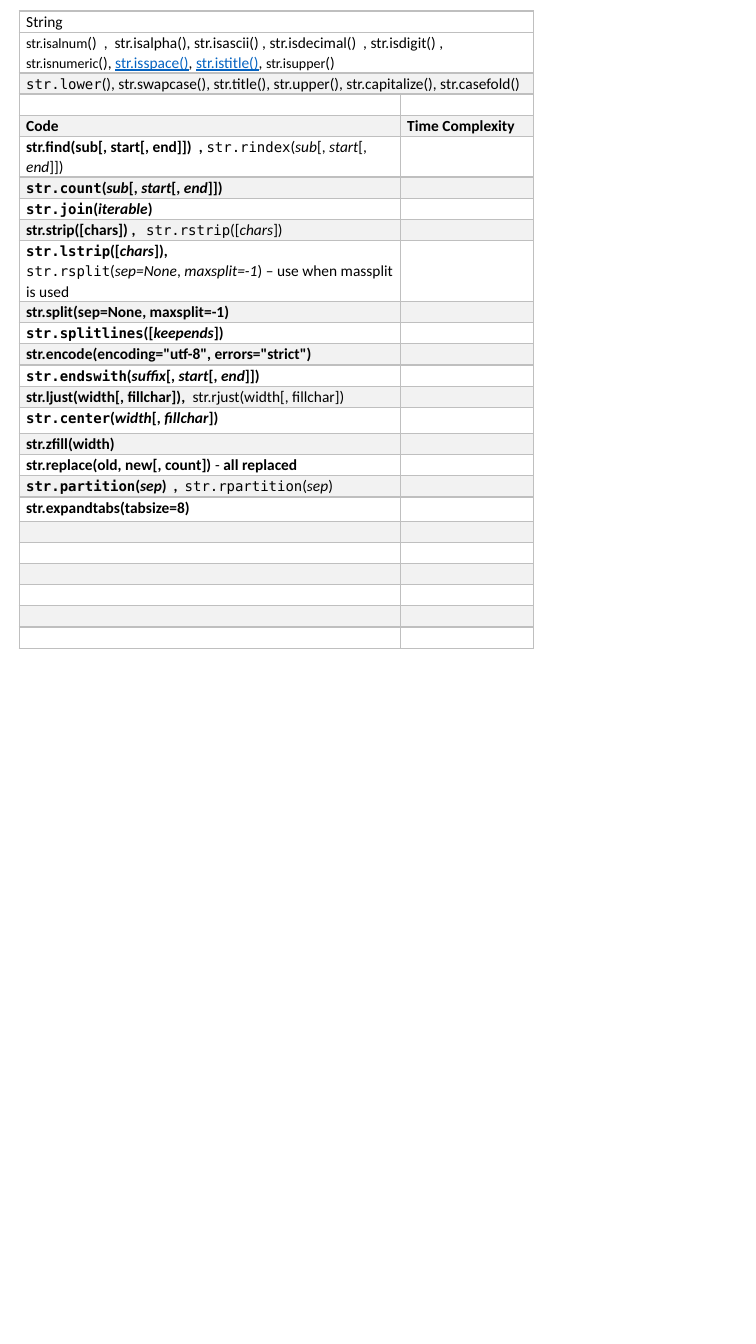
from lxml.etree import SubElement as Sub
from pptx import Presentation
from pptx.dml.color import RGBColor as RGB
from pptx.oxml.ns import qn
from pptx.util import Inches, Pt

BLACK = RGB(0x00, 0x00, 0x00)
WHITE = RGB(0xFF, 0xFF, 0xFF)
BAND = RGB(0xF2, 0xF2, 0xF2)
RULE = RGB(0xBF, 0xBF, 0xBF)
LINK = RGB(0x05, 0x63, 0xC1)

# Style letters: b bold, i italic, m code font, s small, u link colour
SPAN = [("sub", "bi"), ("[, ", "b"), ("start", "bi"), ("[, ", "b"), ("end", "bi"), ("]])", "b")]
WIDE = [
    [("String", "")],
    [("str.isalnum", "s"), ("()  ,  str.isalpha(), str.isascii() , str.isdecimal()  , str.isdigit() , ", ""),
     ("str.isnumeric", "s"), ("(), ", ""), ("str.isspace()", "u"), (", ", ""),
     ("str.istitle()", "u"), (", ", ""), ("str.isupper", "s"), ("()", "")],
    [("str.lower", "m"),
     ("(), str.swapcase(), str.title(), str.upper(), str.capitalize(), str.casefold()", "")],
]
HEAD = ["Code", "Time Complexity"]
CODE = [
    [[("str.find(sub[, start[, end]])  , ", "b"), ("str.rindex", "m"), ("(", ""), ("sub", "i"),
      ("[, ", ""), ("start", "i"), ("[, ", ""), ("end", "i"), ("]])", "")]],
    [[("str.count", "bm"), ("(", "b"), *SPAN]],
    [[("str.join", "bm"), ("(", "b"), ("iterable", "bi"), (")", "b")]],
    [[("str.strip([chars]) ,   ", "b"), ("str.rstrip", "m"), ("([", ""), ("chars", "i"), ("])", "")]],
    [[("str.lstrip", "bm"), ("([", "b"), ("chars", "bi"), ("]),", "b")],
     [("str.rsplit", "m"), ("(", ""), ("sep=None", "i"), (", ", ""), ("maxsplit=-1", "i"),
      (") – use when massplit is used", "")]],
    [[("str.split(sep=None, maxsplit=-1)", "b")]],
    [[("str.splitlines", "bm"), ("([", "b"), ("keepends", "bi"), ("])", "b")]],
    [[('str.encode(encoding="utf-8", errors="strict")', "b")]],
    [[("str.endswith", "bm"), ("(", "b"), ("suffix", "bi"), ("[, ", "b"), *SPAN[2:]]],
    [[("str.ljust(width[, fillchar]),  ", "b"), ("str.rjust(width[, fillchar])", "")]],
    [[("str.center", "bm"), ("(", "b"), ("width", "bi"), ("[, ", "b"), ("fillchar", "bi"), ("])", "b")]],
    [[("str.zfill(width)", "b")]],
    [[("str.replace(old, new[, count]) ", "b"), ("- ", ""), ("all replaced", "b")]],
    [[("str.partition", "bm"), ("(", "b"), ("sep", "bi"), (")  ,  ", "b"),
      ("str.rpartition", "m"), ("(", ""), ("sep", "i"), (")", "")]],
    [[("str.expandtabs(tabsize=8)", "b")]],
]
SPARE = 6
COLS = [3.78, 1.32]
ROW = 0.21
TALL = {15: 0.26, 19: 0.24}


def add_run(para, text, style):
    """Add one run in the style its letters name."""
    run = para.add_run()
    run.text = text
    font = run.font
    font.name = "DejaVu Sans Mono" if "m" in style else "Calibri"
    font.size = Pt(10 if "m" in style or "s" in style else 11)
    font.bold = "b" in style
    font.italic = "i" in style
    font.underline = "u" in style
    font.color.rgb = LINK if "u" in style else BLACK


def dress(cell, fill):
    """Give a cell its borders, fill and margins."""
    props = cell._tc.get_or_add_tcPr()
    for side in ("a:lnL", "a:lnR", "a:lnT", "a:lnB"):
        line = Sub(props, qn(side), w=str(Pt(1)))
        Sub(Sub(line, qn("a:solidFill")), qn("a:srgbClr"), val=str(RULE))
    cell.fill.solid()
    cell.fill.fore_color.rgb = fill
    cell.margin_left = cell.margin_right = Inches(0.07)
    cell.margin_top = cell.margin_bottom = 0


def write(cell, paras):
    """Write paragraphs of runs into a cell."""
    frame = cell.text_frame
    for n, runs in enumerate(paras):
        para = frame.add_paragraph() if n else frame.paragraphs[0]
        para.line_spacing = 1.07
        for text, style in runs:
            add_run(para, text, style)
        if not runs:
            Sub(para._p, qn("a:endParaRPr"), sz="1100")


def main():
    """Build the string methods table."""
    deck = Presentation()
    deck.slide_width, deck.slide_height = Inches(7.5), Inches(13.33)
    slide = deck.slides.add_slide(deck.slide_layouts[6])

    empty = [[]]
    rows = [[[runs], empty] for runs in WIDE]
    rows.append([empty, empty])
    rows.append([[[(name, "b")]] for name in HEAD])
    rows += [[paras, empty] for paras in CODE]
    rows += [[empty, empty]] * SPARE

    highs = [TALL.get(r, ROW) for r in range(len(rows))]
    table = slide.shapes.add_table(len(rows), len(COLS), Inches(0.19), Inches(0.11),
                                   Inches(sum(COLS)), Inches(sum(highs))).table
    table.first_row = table.horz_banding = False
    for col, wide in zip(table.columns, COLS):
        col.width = Inches(wide)
    for r, (row, high) in enumerate(zip(rows, highs)):
        table.rows[r].height = Inches(high)
        fill = BAND if r and r % 2 == 0 else WHITE
        for c, paras in enumerate(row):
            dress(table.cell(r, c), fill)
            write(table.cell(r, c), paras)
        if r < len(WIDE):
            table.cell(r, 0).merge(table.cell(r, 1))
    deck.save("out.pptx")


if __name__ == "__main__":
    main()
